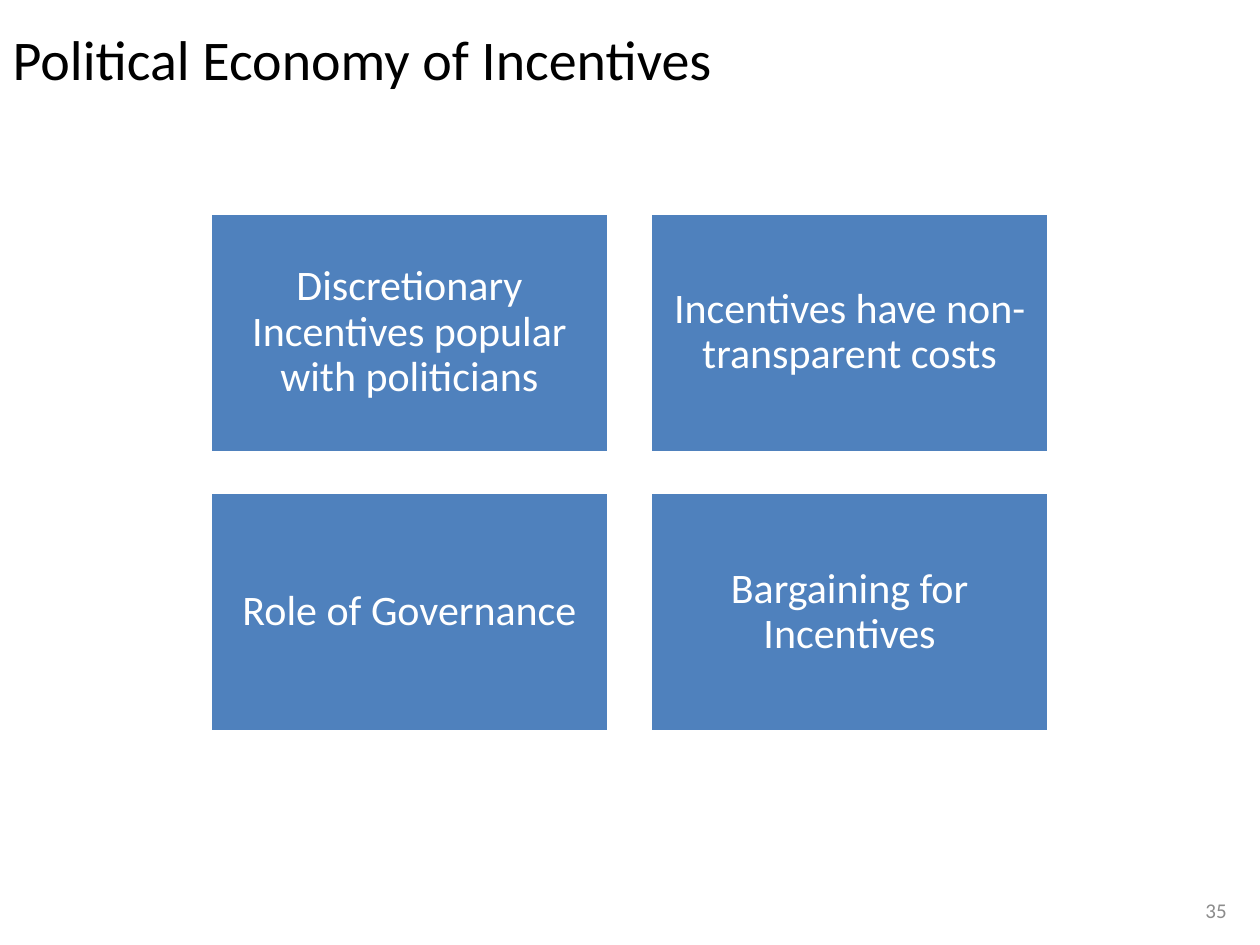
from pptx import Presentation
from pptx.dml.color import RGBColor
from pptx.enum.shapes import MSO_SHAPE
from pptx.enum.text import MSO_ANCHOR, PP_ALIGN
from pptx.util import Pt

BLACK = RGBColor(0x00, 0x00, 0x00)
WHITE = RGBColor(0xFF, 0xFF, 0xFF)
GREY = RGBColor(0x8C, 0x8C, 0x8C)
BLUE = RGBColor(0x4F, 0x81, 0xBD)

LEFT, TOP = 120, 121.7
WIDTH, HEIGHT = 228, 136.8
GAP_X, GAP_Y = 23.5, 23

TOPICS = [
    "Discretionary Incentives popular with politicians",
    "Incentives have non-transparent costs",
    "Role of Governance",
    "Bargaining for Incentives",
]


def write(shape, text, size, color, align):
    frame = shape.text_frame
    frame.text = text
    frame.word_wrap = True
    frame.vertical_anchor = MSO_ANCHOR.MIDDLE
    para = frame.paragraphs[0]
    para.alignment = align
    font = para.runs[0].font
    font.name = "Calibri"
    font.size = Pt(size)
    font.color.rgb = color


deck = Presentation()
deck.slide_width, deck.slide_height = Pt(720), Pt(540)
slide = deck.slides.add_slide(deck.slide_layouts[5])

title = slide.shapes.title
title.left, title.top = Pt(0), Pt(0)
title.width, title.height = Pt(648), Pt(66)
write(title, "Political Economy of Incentives", 32, BLACK, PP_ALIGN.LEFT)

for i, topic in enumerate(TOPICS):
    row, col = divmod(i, 2)
    box = slide.shapes.add_shape(
        MSO_SHAPE.RECTANGLE,
        Pt(LEFT + col * (WIDTH + GAP_X)),
        Pt(TOP + row * (HEIGHT + GAP_Y)),
        Pt(WIDTH),
        Pt(HEIGHT),
    )
    box.shadow.inherit = False
    box.fill.solid()
    box.fill.fore_color.rgb = BLUE
    box.line.color.rgb = WHITE
    box.line.width = Pt(2)
    write(box, topic, 24, WHITE, PP_ALIGN.CENTER)
    frame = box.text_frame
    frame.margin_left = frame.margin_right = Pt(7.2)
    frame.margin_top = frame.margin_bottom = Pt(7.2)
    frame.paragraphs[0].line_spacing = 0.9

number = slide.shapes.add_textbox(Pt(540), Pt(505.5), Pt(168), Pt(28.8))
write(number, "35", 12, GREY, PP_ALIGN.RIGHT)

deck.save("out.pptx")
